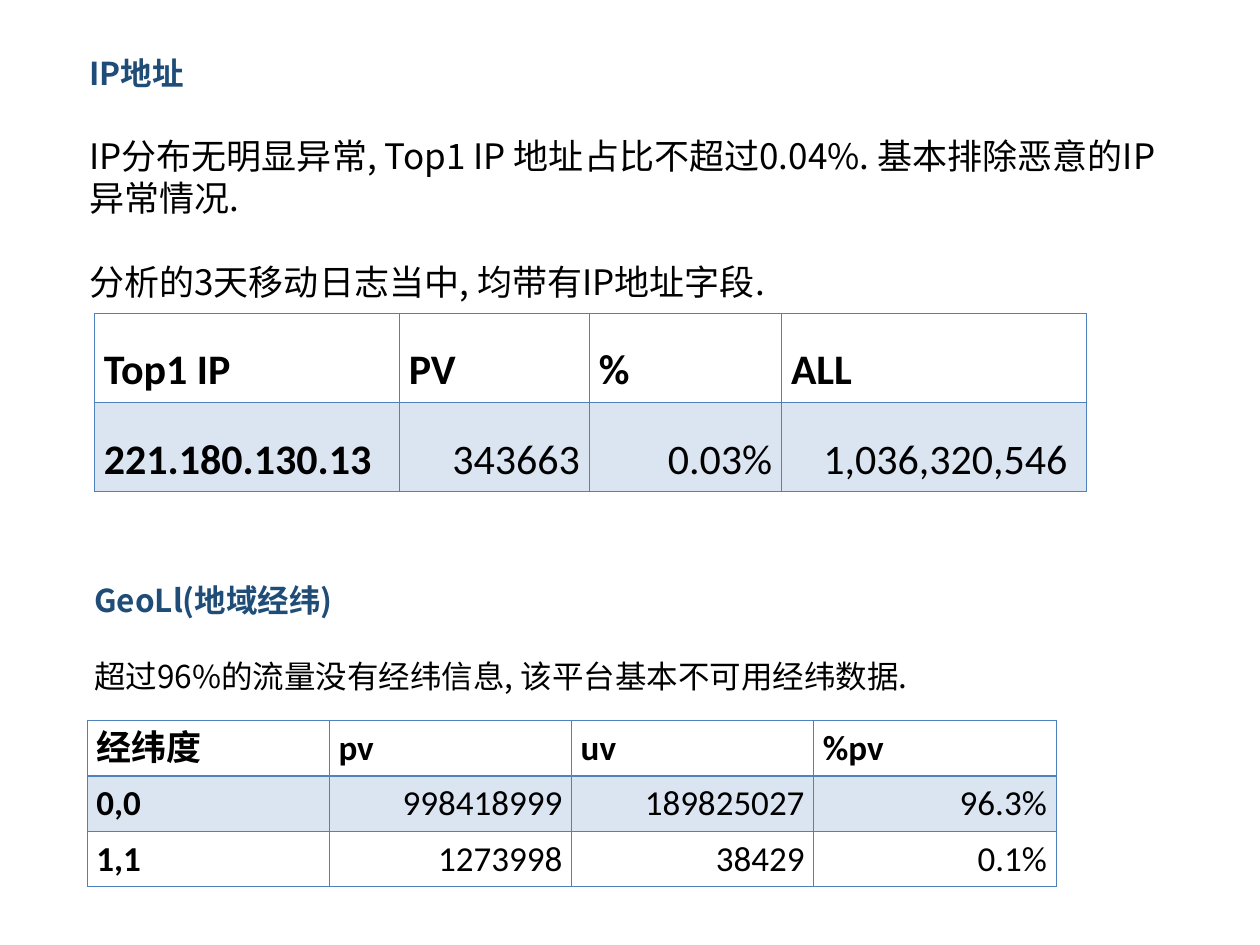
from lxml.etree import SubElement, Element
from pptx import Presentation
from pptx.dml.color import RGBColor
from pptx.enum.text import MSO_ANCHOR as Anchor, MSO_AUTO_SIZE as AutoSize, PP_ALIGN as Align
from pptx.oxml.ns import qn
from pptx.util import Pt

NAVY = RGBColor(0x1F, 0x4D, 0x78)
BLUE = RGBColor(0x4F, 0x81, 0xBD)
BLACK = RGBColor(0, 0, 0)
TEXT_FONT = "Noto Sans CJK SC"
TABLE_FONT = "Calibri"
THIN, THICK = 0.45, 0.96
TITLE_ONLY = 5


def format_span(span, font_name, size, color, bold):
    font = span.font
    font.name, font.size, font.bold = font_name, Pt(size), bold
    font.color.rgb = color
    east_asian = SubElement(span._r.get_or_add_rPr(), qn("a:ea"))
    east_asian.set("typeface", font_name)


def fill_text(box, left, top, width, height, lines, size, color, bold=False):
    box.left, box.top, box.width, box.height = Pt(left), Pt(top), Pt(width), Pt(height)
    frame = box.text_frame
    frame.word_wrap = True
    frame.auto_size = AutoSize.NONE
    frame.vertical_anchor = Anchor.TOP
    frame.margin_left = frame.margin_right = Pt(7.2)
    frame.margin_top, frame.margin_bottom = Pt(5.2), Pt(0)
    frame.text = "\n".join(lines)
    pitch = size * 1.2
    for index, para in enumerate(frame.paragraphs):
        para.alignment = Align.LEFT
        para.line_spacing = Pt(pitch)
        para.space_before = Pt(pitch if index else 0)
        for span in para.runs:
            format_span(span, TEXT_FONT, size, color, bold)


def add_section(page, heading_box, left, top, width, height, heading, lines, size):
    heading_height = 28
    body_offset = 21.6 + size * 1.2
    fill_text(heading_box, left, top, width, heading_height, [heading], 18, NAVY, True)
    body_box = page.shapes.add_textbox(0, 0, 0, 0)
    fill_text(body_box, left, top + body_offset, width, height - body_offset, lines, size, BLACK)


def set_borders(cell, top_width, bottom_width):
    properties = cell._tc.get_or_add_tcPr()
    sides = (("a:lnL", THIN), ("a:lnR", THIN), ("a:lnT", top_width), ("a:lnB", bottom_width))
    for position, (tag, width) in enumerate(sides):
        line = Element(qn(tag), w=str(Pt(width)))
        solid = SubElement(line, qn("a:solidFill"))
        SubElement(solid, qn("a:srgbClr"), val=str(BLUE))
        properties.insert(position, line)


def shade_cell(cell):
    cell.fill.solid()
    cell.fill.fore_color.rgb = BLUE
    color = cell._tc.tcPr.find(".//" + qn("a:srgbClr"))
    SubElement(color, qn("a:alpha"), val="20000")


def add_data_table(page, left, top, column_widths, row_height, rows, size, margin):
    frame = page.shapes.add_table(
        len(rows), len(column_widths), Pt(left), Pt(top),
        Pt(sum(column_widths)), Pt(row_height * len(rows)))
    table = frame.table
    table.first_row = table.horz_banding = False
    for column, width in zip(table.columns, column_widths):
        column.width = Pt(width)
    for row_index, values in enumerate(rows):
        table.rows[row_index].height = Pt(row_height)
        for column_index, value in enumerate(values):
            cell = table.cell(row_index, column_index)
            is_label = row_index == 0 or column_index == 0
            cell.vertical_anchor = Anchor.BOTTOM
            cell.margin_left = cell.margin_right = Pt(margin)
            cell.margin_top = cell.margin_bottom = Pt(3.6)
            para = cell.text_frame.paragraphs[0]
            para.text = value
            para.alignment = Align.LEFT if is_label else Align.RIGHT
            format_span(para.runs[0], TABLE_FONT, size, BLACK, is_label)
            if row_index == 1:
                shade_cell(cell)
            else:
                cell.fill.background()
            set_borders(cell, THICK if row_index == 1 else THIN,
                        THICK if row_index == 0 else THIN)


def build_page(deck):
    page = deck.slides.add_slide(deck.slide_layouts[TITLE_ONLY])
    add_section(page, page.shapes.title, 43.9, 25.9, 635, 149, "IP地址", [
        "IP分布无明显异常, Top1 IP 地址占比不超过0.04%. 基本排除恶意的IP异常情况.",
        "分析的3天移动日志当中, 均带有IP地址字段.",
    ], 20)
    add_data_table(page, 54, 179.2, [174.2, 108.7, 109.8, 174.2], 50.9, [
        ["Top1 IP", "PV", "%", "ALL"],
        ["221.180.130.13", "343663", "0.03%", " 1,036,320,546 "],
    ], 24, 5.4)
    geo_heading = page.shapes.add_textbox(0, 0, 0, 0)
    add_section(page, geo_heading, 46.8, 326.9, 522.7, 72, "GeoLl(地域经纬)", [
        "超过96%的流量没有经纬信息, 该平台基本不可用经纬数据.",
    ], 18)
    add_data_table(page, 49.9, 411.6, [138.4] * 4, 24, [
        ["经纬度", "pv", "uv", "%pv"],
        ["0,0", "998418999", "189825027", "96.3%"],
        ["1,1", "1273998", "38429", "0.1%"],
    ], 20, 5.2)


def main():
    deck = Presentation()
    deck.slide_width, deck.slide_height = Pt(720), Pt(540)
    build_page(deck)
    deck.save("out.pptx")


if __name__ == "__main__":
    main()
